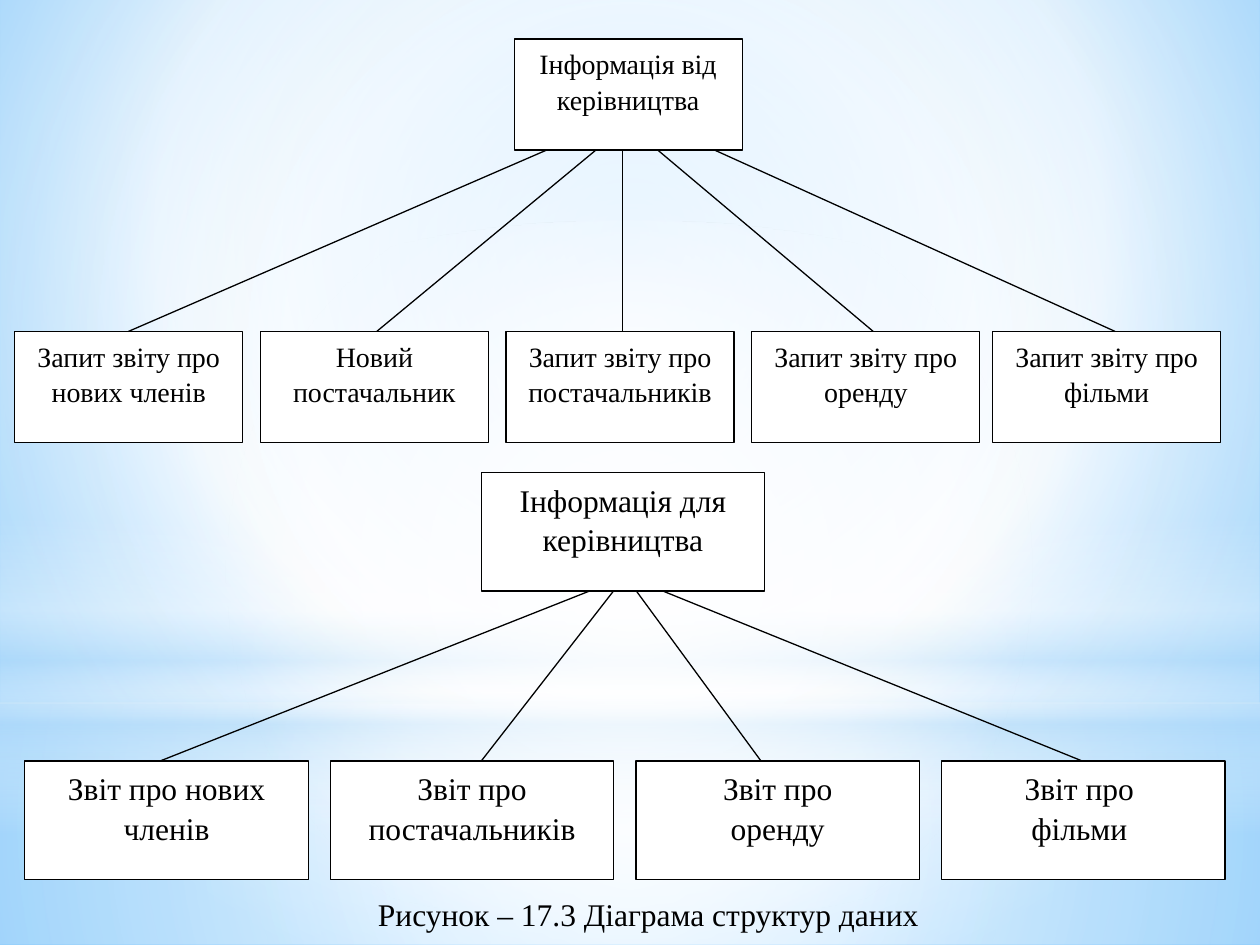
from lxml import etree
from pptx import Presentation
from pptx.dml.color import RGBColor
from pptx.enum.shapes import MSO_CONNECTOR, MSO_SHAPE
from pptx.enum.text import MSO_ANCHOR, MSO_AUTO_SIZE, PP_ALIGN
from pptx.oxml.ns import qn
from pptx.util import Pt

RECT, OVAL = MSO_SHAPE.RECTANGLE, MSO_SHAPE.OVAL
LINE = MSO_CONNECTOR.STRAIGHT
TOP, MIDDLE = MSO_ANCHOR.TOP, MSO_ANCHOR.MIDDLE
CENTER = PP_ALIGN.CENTER
FIT = MSO_AUTO_SIZE.SHAPE_TO_FIT_TEXT
FONT, BLACK, WHITE, PALE = "Times New Roman", "000000", "FFFFFF", "B4DCFA"


def blend(props, stops, focus):
    """Swap a solid fill for a gradient: circular round focus, else downward."""
    grad = etree.Element(qn("a:gradFill"), rotWithShape="1")
    items = etree.SubElement(grad, qn("a:gsLst"))
    for pos, tint, alpha in stops:
        stop = etree.SubElement(items, qn("a:gs"), pos=str(pos * 1000))
        color = etree.SubElement(stop, qn("a:srgbClr"), val=tint)
        if alpha < 100:
            etree.SubElement(color, qn("a:alpha"), val=str(alpha * 1000))
    if focus:
        way = etree.SubElement(grad, qn("a:path"), path="circle")
        sides = {side: str(part * 1000) for side, part in zip("ltrb", focus)}
        etree.SubElement(way, qn("a:fillToRect"), sides)
    else:
        etree.SubElement(grad, qn("a:lin"), ang="5400000", scaled="0")
    props.replace(props.find(qn("a:solidFill")), grad)


def write(frame, text, size, after):
    """Put centred black text in a frame, with space after the last paragraph."""
    frame.text = text
    for para in frame.paragraphs:
        para.alignment = CENTER
        para.line_spacing = 1.05
        para.space_after = Pt(0)
        for run in para.runs:
            run.font.name = FONT
            run.font.size = Pt(size)
            run.font.color.rgb = RGBColor.from_string(BLACK)
    para.space_after = Pt(after)


deck = Presentation()
deck.slide_width, deck.slide_height = Pt(720), Pt(540)
slide = deck.slides.add_slide(deck.slide_layouts[6])
shapes = slide.shapes

# Backdrop
slide.background.fill.solid()
slide.background.fill.fore_color.rgb = RGBColor.from_string(WHITE)
blend(slide.element.xpath(".//p:bgPr")[0],
      [(0, "9ED5FF", 100), (60, WHITE, 100), (100, "5BB9FF", 100)],
      (20, 10, 20, 60))

MID = (50, 50, 50, 50)
glows = [
    (RECT, 401.76, 138.24, MID,
     [(0, WHITE, 91), (37, WHITE, 76), (100, PALE, 79)]),
    (RECT, 0, 401.76, MID,
     [(0, WHITE, 89), (48, WHITE, 62), (100, PALE, 79)]),
    (RECT, 296.64, 180, None,
     [(0, WHITE, 0), (29, WHITE, 30), (45, PALE, 40),
      (55, WHITE, 26), (65, PALE, 60), (100, WHITE, 0)]),
    (OVAL, 126, 401.76, MID, [(0, WHITE, 100), (56, WHITE, 0)]),
]
for kind, top, height, focus, stops in glows:
    glow = shapes.add_shape(kind, 0, Pt(top), Pt(720), Pt(height))
    glow.shadow.inherit = False
    glow.line.fill.background()
    glow.fill.solid()
    blend(glow.element.spPr, stops, focus)

# Trees: text size, box size, root, row top, row of (left, text, after),
# line ends as (x at root, x at row)
trees = [
    (16, 130.3, 63.4, (293.8, 22.3, "Інформація від\nкерівництва"), 189.4,
     [(8.4, "Запит звіту про нових членів", 10),
      (148.8, "Новий постачальник", 10),
      (289.2, "Запит звіту про постачальників", 10),
      (429.6, "Запит звіту про оренду", 10),
      (567.2, "Запит звіту про фільми", 10)],
     [(312.5, 73.4), (340.6, 215.3), (355.7, 355.7),
      (375.8, 499), (408.2, 637.2)]),
    (18, 162, 67.7, (275, 270, "Інформація для\nкерівництва"), 434.9,
     [(14.2, "Звіт про нових членів", 10),
      (188.8, "Звіт про постачальників", 10),
      (363.4, "Звіт про\nоренду", 0),
      (538, "Звіт про \nфільми ", 0)],
     [(337, 91.4), (350.6, 275), (363.6, 434.9), (378.7, 618.5)]),
]
for size, width, height, root, row, leaves, ends in trees:
    left, top, title = root
    boxes = [(left, top, title, 10)]
    boxes += [(x, row, text, after) for x, text, after in leaves]
    for x, y, text, after in boxes:
        box = shapes.add_shape(RECT, Pt(x), Pt(y), Pt(width), Pt(height))
        box.shadow.inherit = False
        box.fill.solid()
        box.fill.fore_color.rgb = RGBColor.from_string(WHITE)
        box.line.color.rgb = RGBColor.from_string(BLACK)
        box.line.width = Pt(0.75)
        box.text_frame.word_wrap = True
        box.text_frame.vertical_anchor = TOP
        write(box.text_frame, text, size, after)
    for start, end in ends:
        link = shapes.add_connector(LINE, Pt(start), Pt(top + height),
                                    Pt(end), Pt(row))
        link.line.color.rgb = RGBColor.from_string(BLACK)
        link.line.width = Pt(0.75)
        etree.SubElement(link.element.spPr, qn("a:effectLst"))

# Caption
note = shapes.add_textbox(Pt(185.8), Pt(507.6), Pt(347.8), Pt(28.8))
note.text_frame.word_wrap = False
note.text_frame.auto_size = FIT
note.text_frame.vertical_anchor = MIDDLE
write(note.text_frame, "Рисунок – 17.3 Діаграма структур даних", 18, 0)
note.element.xpath(".//a:pPr")[0].set("indent", str(int(Pt(21.6))))

deck.save("out.pptx")
